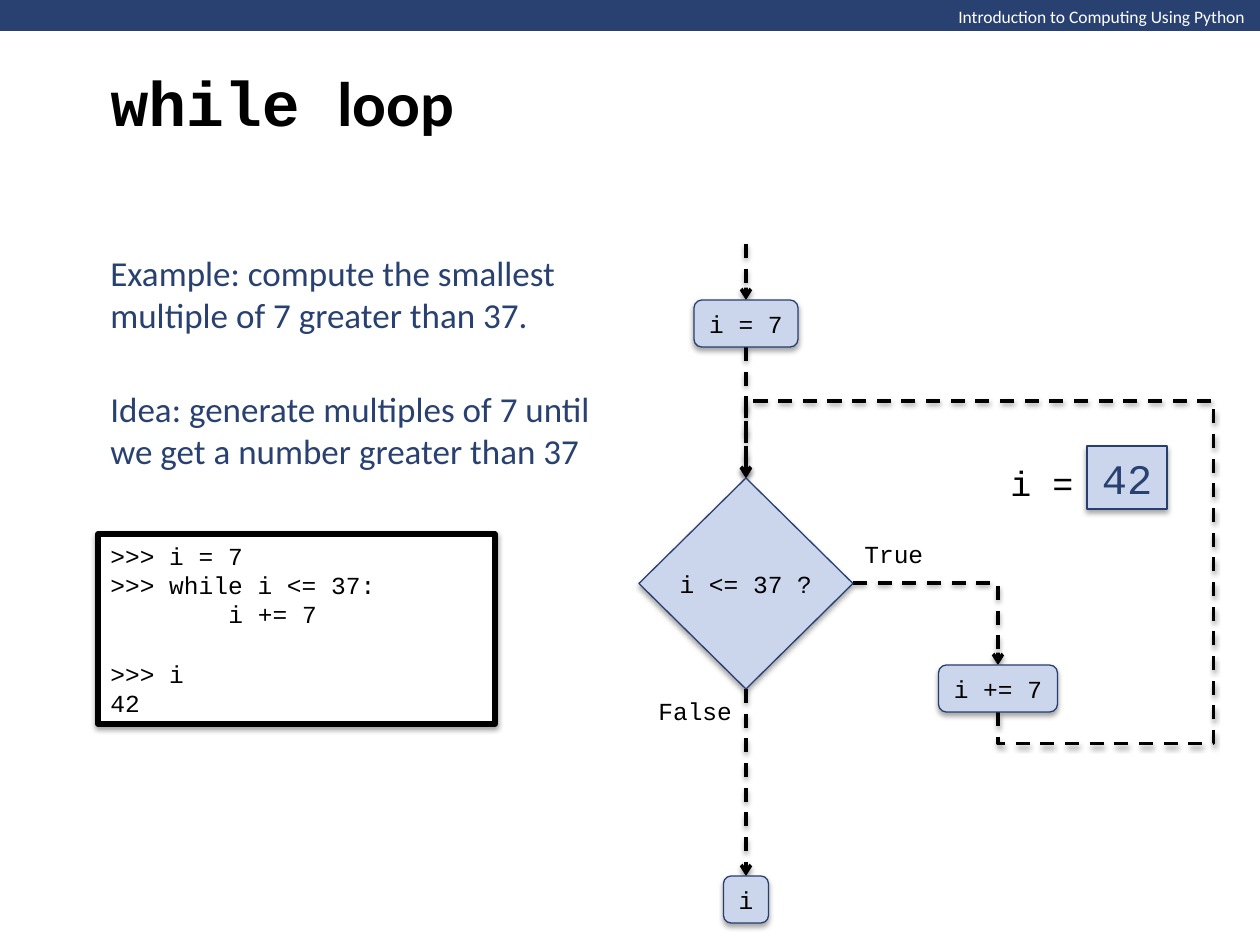
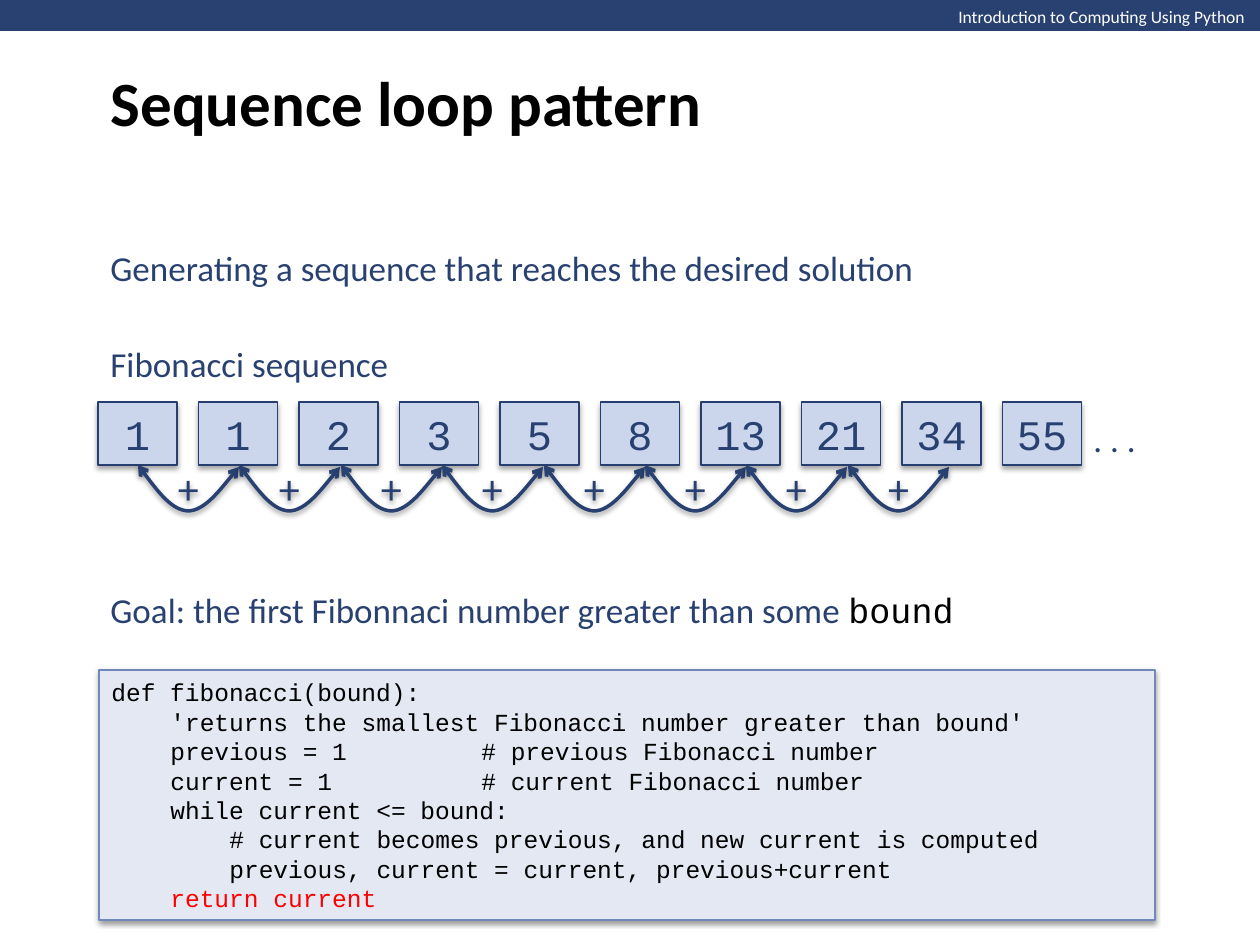
from dataclasses import dataclass

from lxml import etree
from pptx import Presentation, util as u
from pptx.dml.color import RGBColor
from pptx.enum import dml, shapes, text
from pptx.oxml import ns

SCALE = 914400 / 126


@dataclass(frozen=True)
class Theme:
    """Colours, fonts and type sizes shared by the slides."""
    navy: str = "294171"
    edge: str = "263F70"
    pale: str = "CBD6EC"
    mist: str = "E3E8F2"
    rim: str = "7088BA"
    black: str = "000000"
    white: str = "FFFFFF"
    red: str = "FF0000"
    sans: str = "Calibri"
    mono: str = "Courier New"
    head: int = 36
    big: int = 24
    body: int = 20
    fine: int = 14
    small: int = 10


T = Theme()
KIND = shapes.MSO_SHAPE
MID, TOP = text.MSO_ANCHOR.MIDDLE, text.MSO_ANCHOR.TOP
LEFT, CENTRE = text.PP_ALIGN.LEFT, text.PP_ALIGN.CENTER


def emu(px):
    """Turn pixels into EMU."""
    return u.Emu(round(px * SCALE))


def rgb(code):
    """Turn a hex code into a colour."""
    return RGBColor.from_string(code)


def add(node, tag, **attrs):
    """Append a drawing element to a node."""
    return etree.SubElement(node, ns.qn(tag), **attrs)


class Deck:
    """Holds the presentation and the current slide."""

    def __init__(self):
        """Start an empty deck of 10 by 7.5 inches."""
        self.prs = Presentation()
        self.prs.slide_width, self.prs.slide_height = u.Inches(10), u.Inches(7.5)
        self.slide = None

    def page(self, *parts):
        """Add a slide with the band and a title of (text, font) parts."""
        self.slide = self.prs.slides.add_slide(self.prs.slide_layouts[5])
        band = self.box(KIND.RECTANGLE, (0, 0, 1261, 31), T.navy)
        band.line.fill.background()
        band.shadow.inherit = False
        self.label((946, 0, 315, 34), "Introduction to Computing Using Python",
                   T.small, T.white, wrap=False, anchor=TOP)
        title = self.slide.shapes.title
        title.left, title.top, title.width, title.height = map(emu, (98, 0, 1071, 203))
        self.letter(title, "", T.head, T.black)
        title.text_frame.auto_size = text.MSO_AUTO_SIZE.NONE
        for words, font in parts:
            self.extend(title, words, T.head, T.black, font).bold = True

    def font(self, run, size, color, name):
        """Format one run and return its font."""
        run.font.size, run.font.name = u.Pt(size), name
        run.font.color.rgb = rgb(color)
        return run.font

    def extend(self, shape, words, size, color, name):
        """Add a run to the last paragraph of a shape."""
        run = shape.text_frame.paragraphs[-1].add_run()
        run.text = words
        return self.font(run, size, color, name)

    def letter(self, shape, words, size, color, name=T.sans, align=LEFT,
               wrap=True, anchor=MID):
        """Fill a shape with formatted text."""
        frame = shape.text_frame
        frame.text = words
        frame.word_wrap, frame.vertical_anchor = wrap, anchor
        for para in frame.paragraphs:
            para.alignment = align
            for run in para.runs:
                self.font(run, size, color, name)

    def label(self, place, words, size=T.body, color=T.navy, name=T.sans,
              wrap=True, anchor=MID):
        """Add a text box."""
        shape = self.slide.shapes.add_textbox(*map(emu, place))
        self.letter(shape, words, size, color, name, wrap=wrap, anchor=anchor)
        return shape

    def stroke(self, shape, color, width):
        """Set the outline of a shape."""
        shape.line.color.rgb = rgb(color)
        shape.line.width = u.Pt(width)

    def shade(self, shape, alpha=38, dist=1.6):
        """Give a shape a soft shadow below it."""
        glow = add(add(shape.element.spPr, "a:effectLst"), "a:outerShdw",
                   blurRad=str(u.Pt(3.1)), dist=str(u.Pt(dist)),
                   dir="5400000", rotWithShape="0")
        add(add(glow, "a:srgbClr", val=T.black), "a:alpha", val=str(alpha * 1000))

    def tips(self, shape, *ends):
        """Add arrowheads to the named ends of a line."""
        line = shape.element.spPr.find(ns.qn("a:ln"))
        for end in ends:
            add(line, f"a:{end}End", type="arrow")

    def box(self, kind, place, fill):
        """Add a filled preset shape."""
        shape = self.slide.shapes.add_shape(kind, *map(emu, place))
        shape.fill.solid()
        shape.fill.fore_color.rgb = rgb(fill)
        return shape

    def node(self, kind, place, words, size=T.fine, color=T.black):
        """Add a pale shape with centred code text."""
        shape = self.box(kind, place, T.pale)
        self.stroke(shape, T.edge, 0.75)
        self.shade(shape, 35, 1.8)
        self.letter(shape, words, size, color, T.mono, CENTRE, wrap=False)

    def listing(self, place, lines, fill, edge, width):
        """Add a code listing whose tabs indent by four characters."""
        shape = self.box(KIND.RECTANGLE, place, fill)
        self.stroke(shape, edge, width)
        self.shade(shape)
        self.letter(shape, "\n".join(lines), T.fine, T.black, T.mono)
        for para in shape.text_frame.paragraphs:
            stops = add(para._p.get_or_add_pPr(), "a:tabLst")
            for stop in (59, 118, 370):
                add(stops, "a:tab", pos=str(emu(stop)), algn="l")
        return shape.text_frame.paragraphs

    def arrow(self, start, end, preset="line", turn=False, bends=()):
        """Add a dashed arrow, turned by a quarter if asked."""
        if turn:
            midx, midy = (start[0] + end[0]) / 2, (start[1] + end[1]) / 2
            wide, high = abs(start[1] - end[1]) / 2, abs(start[0] - end[0]) / 2
            start, end = (midx + wide, midy - high), (midx - wide, midy + high)
        wire = self.slide.shapes.add_connector(
            shapes.MSO_CONNECTOR.STRAIGHT, *map(emu, start + end))
        self.stroke(wire, T.black, 2)
        wire.line.dash_style = dml.MSO_LINE.DASH
        self.tips(wire, "tail")
        self.shade(wire)
        props = wire.element.spPr
        if turn:
            props.find(ns.qn("a:xfrm")).set("rot", "5400000")
        geom = props.find(ns.qn("a:prstGeom"))
        geom.set("prst", preset)
        for rank, bend in enumerate(bends, 1):
            add(geom.find(ns.qn("a:avLst")), "a:gd", name=f"adj{rank}",
                fmla=f"val {round(bend * 100000)}")

    def arc(self, left, top):
        """Add a sagging double arrow with a plus sign."""
        steps = (17, 23), (34, 45), (50, 46), (67, 46), (101, 2), (101, 2)
        pen = self.slide.shapes.build_freeform(left, top, scale=SCALE)
        pen.add_line_segments([(left + x, top + y) for x, y in steps], close=False)
        shape = pen.convert_to_shape()
        track = next(shape.element.iter(ns.qn("a:path")))
        spots = [line[0] for line in track.findall(ns.qn("a:lnTo"))]
        del track[1:]
        for half in (spots[:3], spots[3:]):
            add(track, "a:cubicBezTo").extend(half)
        shape.fill.background()
        self.stroke(shape, T.navy, 2)
        self.tips(shape, "head", "tail")
        self.shade(shape)
        self.letter(shape, "+", T.big, T.navy, align=CENTRE)


def loop(deck):
    """Build the flow chart of the while loop."""
    deck.page(("while ", T.mono), ("loop", T.sans))
    axis, side = 746, 998
    deck.arrow((axis, 244), (axis, 300))
    deck.arrow((side, 712), (axis, 478), "bentConnector5", True, (-0.135, -0.855, 1.33))
    deck.arrow((axis, 689), (axis, 876))
    deck.arrow((853, 583), (side, 665), "bentConnector2")
    deck.arrow((axis, 347), (axis, 478))
    step = KIND.FLOWCHART_ALTERNATE_PROCESS
    for mid, top, wide, words in ((axis, 300, 104, "i = 7"),
                                  (side, 665, 119, "i += 7"),
                                  (axis, 876, 45, "i")):
        deck.node(step, (mid - wide / 2, top, wide, 47), words)
    deck.node(KIND.FLOWCHART_DECISION, (639, 478, 214, 211), "i <= 37 ?")
    deck.node(KIND.RECTANGLE, (1087, 446, 80, 63), "42", T.big, T.navy)
    deck.label((998, 455, 89, 55), "i =", T.body, T.black, T.mono, wrap=False)
    deck.label((646, 690, 100, 42), "False", T.fine, T.black, T.mono, wrap=False)
    deck.label((852, 533, 84, 42), "True", T.fine, T.black, T.mono, wrap=False)
    lines = (">>> i = 7", ">>> while i <= 37:", "\t\ti += 7", ">>> i", "42")
    paras = deck.listing((98, 534, 397, 190), lines, T.white, T.black, 3)
    paras[3].space_before = u.Pt(17)
    deck.label((98, 245, 544, 97),
               "Example: compute the smallest multiple of 7 greater than 37.")
    deck.label((98, 381, 542, 97),
               "Idea: generate multiples of 7 until we get a number greater than 37")


def series(deck):
    """Build the Fibonacci sequence and its function."""
    deck.page(("Sequence loop pattern", T.sans))
    deck.label((98, 240, 837, 55),
               "Generating a sequence that reaches the desired solution", wrap=False)
    deck.label((98, 336, 306, 55), "Fibonacci sequence", wrap=False)
    for rank, value in enumerate((1, 1, 2, 3, 5, 8, 13, 21, 34, 55)):
        deck.node(KIND.RECTANGLE, (98 + 100.5 * rank, 402, 79, 63),
                  str(value), T.big, T.navy)
    deck.label((1081, 411, 68, 55), ". . .", wrap=False)
    for rank in range(8):
        deck.arc(round(138 + 101.4 * rank), 465)
    goal = deck.label((98, 582, 876, 55),
                      "Goal: the first Fibonnaci number greater than some ", wrap=False)
    deck.extend(goal, "bound", T.body, T.black, T.mono)
    lines = ("def fibonacci(bound):",
             "\t'returns the smallest Fibonacci number greater than bound'",
             "\tprevious = 1\t# previous Fibonacci number",
             "\tcurrent = 1\t# current Fibonacci number",
             "\twhile current <= bound:",
             "\t\t# current becomes previous, and new current is computed",
             "\t\tprevious, current = current, previous+current",
             "\treturn current")
    paras = deck.listing((99, 670, 1056, 250), lines, T.mist, T.rim, 0.75)
    for run in paras[-1].runs:
        run.font.color.rgb = rgb(T.red)


deck = Deck()
loop(deck)
series(deck)
deck.prs.save("out.pptx")
